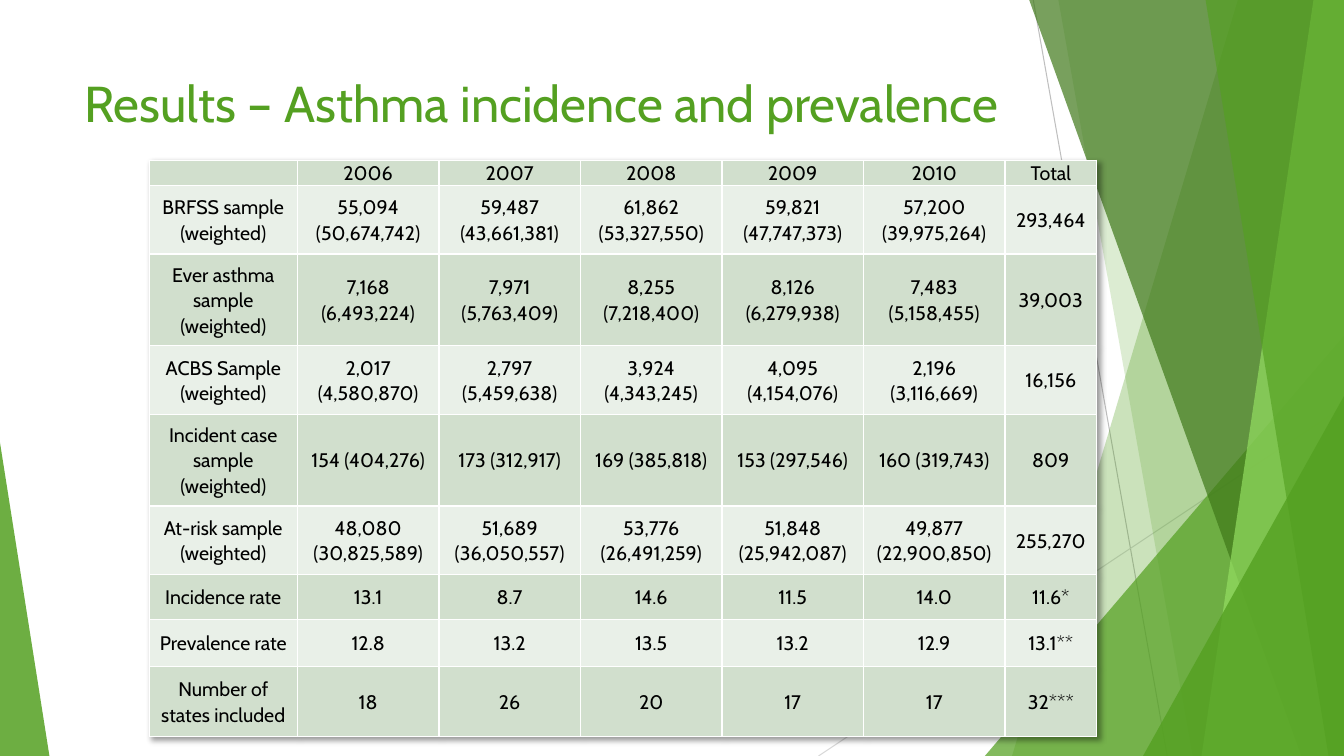
from lxml.etree import SubElement
from pptx import Presentation
from pptx.dml.color import RGBColor
from pptx.enum.shapes import MSO_CONNECTOR, MSO_SHAPE
from pptx.enum.text import MSO_ANCHOR, PP_ALIGN
from pptx.oxml.ns import qn
from pptx.util import Inches, Pt

GREEN, DARK_GREEN, LIGHT_GREEN = "54A021", "3F7819", "94DE61"
BANDS = ("D1DFCD", "E9F0E8")

COLUMN_WIDTHS = [11.03] + [10.53] * 5 + [6.83]
ROW_HEIGHTS = [3.07, 9.07, 12.13, 9.07, 12.13, 9.07, 6, 6.13, 9.33]
RESULTS = [
    ["", "2006", "2007", "2008", "2009", "2010", "Total"],
    ["BRFSS sample (weighted)", "55,094 (50,674,742)", "59,487 (43,661,381)",
     "61,862 (53,327,550)", "59,821 (47,747,373)", "57,200 (39,975,264)", "293,464"],
    ["Ever asthma sample (weighted)", "7,168 (6,493,224)", "7,971 (5,763,409)",
     "8,255 (7,218,400)", "8,126 (6,279,938)", "7,483 (5,158,455)", "39,003"],
    ["ACBS Sample (weighted)", "2,017 (4,580,870)", "2,797 (5,459,638)",
     "3,924 (4,343,245)", "4,095 (4,154,076)", "2,196 (3,116,669)", "16,156"],
    ["Incident case sample (weighted)", "154 (404,276)", "173 (312,917)",
     "169 (385,818)", "153 (297,546)", "160 (319,743)", "809"],
    ["At-risk sample (weighted)", "48,080 (30,825,589)", "51,689 (36,050,557)",
     "53,776 (26,491,259)", "51,848 (25,942,087)", "49,877 (22,900,850)", "255,270"],
    ["Incidence rate", "13.1", "8.7", "14.6", "11.5", "14.0", "11.6*"],
    ["Prevalence rate", "12.8", "13.2", "13.5", "13.2", "12.9", "13.1**"],
    ["Number of states included", "18", "26", "20", "17", "17", "32***"],
]


def color(value):
    return RGBColor.from_string(value)


def apply(target, values):
    for name, value in values.items():
        setattr(target, name, value)


class SlideBuilder:
    font_name = "Cabin"
    cell_format = {"vertical_anchor": MSO_ANCHOR.MIDDLE, "margin_left": Inches(0.07),
                   "margin_right": Inches(0.07), "margin_top": 0, "margin_bottom": 0}
    cell_paragraph = {"alignment": PP_ALIGN.CENTER, "line_spacing": 1.07, "space_after": Pt(8)}

    def __init__(self, presentation):
        self.width = presentation.slide_width
        self.height = presentation.slide_height
        self.slide = presentation.slides.add_slide(presentation.slide_layouts[6])
        self.shapes = self.slide.shapes

    def across(self, percent):
        return round(self.width * percent / 100)

    def down(self, percent):
        return round(self.height * percent / 100)

    def box(self, left, top, width, height):
        return self.across(left), self.down(top), self.across(width), self.down(height)

    def line(self, start, end, line_color):
        connector = self.shapes.add_connector(
            MSO_CONNECTOR.STRAIGHT, self.across(start[0]), self.down(start[1]),
            self.across(end[0]), self.down(end[1]))
        connector.line.color.rgb = color(line_color)
        connector.line.width = Pt(0.75)
        SubElement(connector._element.spPr, qn("a:effectLst"))

    def paint(self, shape, fill_color, opacity):
        shape.shadow.inherit = False
        shape.fill.solid()
        shape.fill.fore_color.rgb = color(fill_color)
        shape.line.fill.background()
        tint = shape._element.spPr.find(qn("a:solidFill"))[0]
        SubElement(tint, qn("a:alpha"), val=str(opacity * 1000))

    def facet(self, top_left, bottom_left, fill_color, opacity):
        corners = [(top_left, 0), (100, 0), (100, 100), (bottom_left, 100)]
        points = [(self.across(x), self.down(y)) for x, y in corners]
        builder = self.shapes.build_freeform(*points[0])
        builder.add_line_segments(points[1:], close=True)
        self.paint(builder.convert_to_shape(), fill_color, opacity)

    def triangle(self, left, top, width, apex, opacity):
        shape = self.shapes.add_shape(MSO_SHAPE.ISOSCELES_TRIANGLE,
                                      *self.box(left, top, width, 100 - top))
        shape.adjustments[0] = apex
        self.paint(shape, GREEN, opacity)

    def text(self, paragraph, words, size, text_color):
        if words:
            run = paragraph.add_run()
            run.text = words
            apply(run.font, {"name": self.font_name, "size": Pt(size)})
            run.font.color.rgb = color(text_color)
        else:
            SubElement(paragraph._p, qn("a:endParaRPr"), sz=str(size * 100))

    def title(self, words, *place):
        frame = self.shapes.add_textbox(*self.box(*place)).text_frame
        apply(frame, {"word_wrap": True, "vertical_anchor": MSO_ANCHOR.TOP})
        self.text(frame.paragraphs[0], words, 36, GREEN)

    def cell(self, cell, words, fill_color):
        apply(cell, self.cell_format)
        properties = cell._tc.get_or_add_tcPr()
        for side in ("lnL", "lnR", "lnT", "lnB"):
            border = SubElement(properties, qn(f"a:{side}"), w=str(Pt(1)))
            SubElement(SubElement(border, qn("a:solidFill")), qn("a:srgbClr"), val="FFFFFF")
        cell.fill.solid()
        cell.fill.fore_color.rgb = color(fill_color)
        paragraph = cell.text_frame.paragraphs[0]
        apply(paragraph, self.cell_paragraph)
        self.text(paragraph, words, 14, "000000")

    def table(self, left, top, widths, heights, rows):
        table = self.shapes.add_table(
            len(heights), len(widths),
            *self.box(left, top, sum(widths), sum(heights))).table
        apply(table, {"first_row": False, "horz_banding": False})
        effects = SubElement(table._tbl.tblPr, qn("a:effectLst"))
        table._tbl.tblPr.insert(0, effects)
        shadow = SubElement(effects, qn("a:outerShdw"), blurRad=str(Pt(4)),
                            dist=str(Pt(3)), dir="2700000", algn="tl", rotWithShape="0")
        tint = SubElement(shadow, qn("a:srgbClr"), val="000000")
        SubElement(tint, qn("a:alpha"), val="40000")
        for column, width in zip(table.columns, widths):
            column.width = self.across(width)
        for index, (row, height, texts) in enumerate(zip(table.rows, heights, rows)):
            row.height = self.down(height)
            for cell, words in zip(row.cells, texts):
                self.cell(cell, words, BANDS[index % 2])


def main():
    presentation = Presentation()
    presentation.slide_width = Inches(13.33)
    presentation.slide_height = Inches(7.5)
    builder = SlideBuilder(presentation)
    builder.line((76.88, 0), (86.85, 100), "BFBFBF")
    builder.line((100, 53.73), (60.9, 100), "D9D9D9")
    builder.facet(92.1, 75.3, GREEN, 30)
    builder.facet(78.75, 88.73, GREEN, 20)
    builder.triangle(73.28, 44.4, 26.72, 1, 72)
    builder.facet(76.58, 96.83, DARK_GREEN, 70)
    builder.facet(97.73, 89.4, LIGHT_GREEN, 70)
    builder.facet(89.7, 98.85, GREEN, 65)
    builder.triangle(85.05, 52.4, 14.95, 1, 80)
    builder.triangle(0, 58.53, 3.68, 0, 85)
    builder.title("Results – Asthma incidence and prevalence", 5.55, 8.93, 78.9, 19.2)
    builder.table(11.1, 21.2, COLUMN_WIDTHS, ROW_HEIGHTS, RESULTS)
    presentation.save("out.pptx")


if __name__ == "__main__":
    main()
